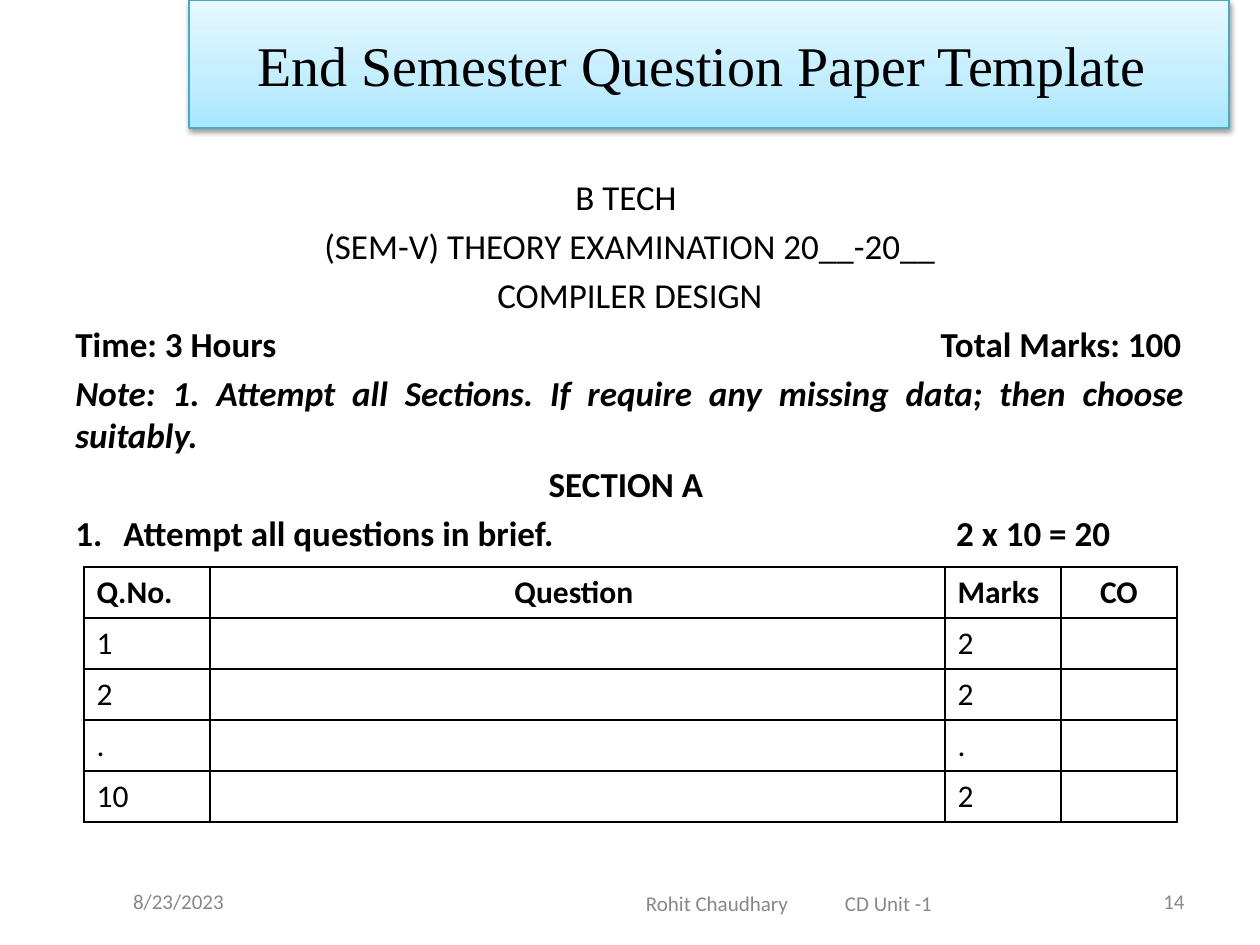
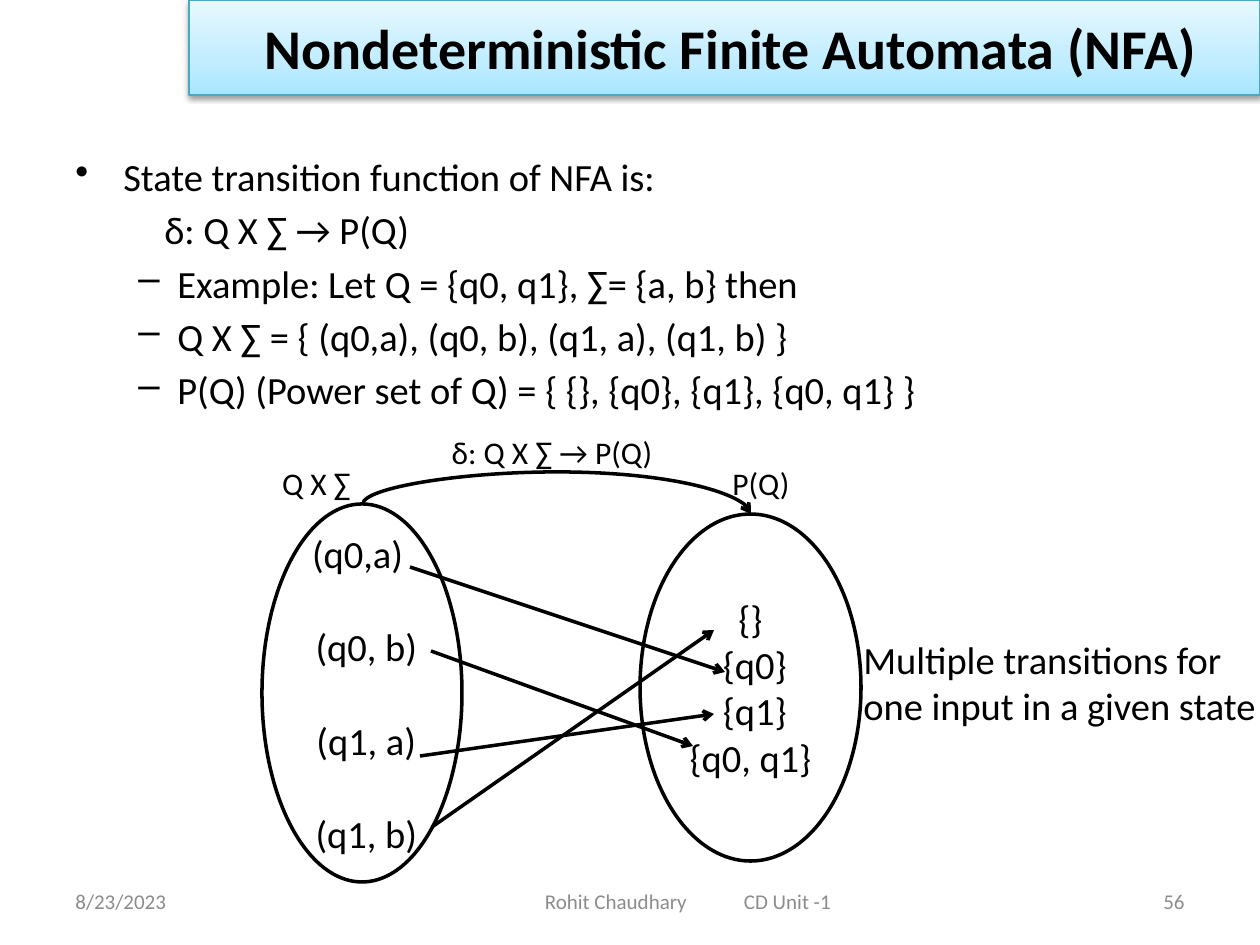
from dataclasses import dataclass

from lxml.etree import SubElement
from pptx import Presentation
from pptx.dml.color import RGBColor
from pptx.enum.shapes import MSO_CONNECTOR as CONN, MSO_SHAPE as SHAPE
from pptx.enum.text import MSO_ANCHOR as ANCHOR, PP_ALIGN as ALIGN
from pptx.oxml.ns import qn
from pptx.util import Pt

EMU_PER_PX = 914400 / 126


@dataclass(frozen=True)
class Theme:
    ink: str = "000000"
    paper: str = "FFFFFF"
    band_line: str = "46AAC5"
    band_stops: tuple = ((0, "A7E6FF"), (35, "C1EDFF"), (100, "E7F8FF"))
    font: str = "Calibri"
    serif: str = "Times New Roman"
    title: int = 32
    body: int = 22
    exam: int = 20
    label: int = 18
    footer: int = 12


T = Theme()
ALIGNS = {"l": ALIGN.LEFT, "c": ALIGN.CENTER, "r": ALIGN.RIGHT, "j": ALIGN.JUSTIFY}

# Each paragraph: text, then the settings that differ from plain left-aligned text.
EXAM_LINES = [
    ("B TECH ", dict(al="c")),
    ("(SEM-V) THEORY EXAMINATION 20__-20__", dict(al="c")),
    ("COMPILER DESIGN", dict(al="c")),
    ("Time: 3 Hours\tTotal Marks: 100", dict(bold=True, tab=(1106, "r"))),
    ("Note: 1. Attempt all Sections. If require any missing data; then choose suitably.",
     dict(al="j", bold=True, italic=True)),
    ("SECTION A ", dict(al="c", bold=True)),
    ("Attempt all questions in brief.\t2 x 10 = 20",
     dict(bold=True, margin=48, indent=-48, bullet="1.", tab=(1035, "r"))),
]
QUESTION_COLS = [("Q.No.", 126, "l"), ("Question ", 735, "c"),
                 ("Marks", 116, "l"), ("CO", 116, "c")]
QUESTION_ROWS = [("1", "", "2", ""), ("2", "", "2", ""),
                 (".", "", ".", ""), ("10", "", "2", "")]

DASH = dict(margin=102, indent=-39, bullet="–")
NFA_LINES = [
    ("State transition function of NFA is:", dict(margin=48, indent=-48, bullet="•")),
    ("δ: Q X ∑ → P(Q)", dict(margin=102, indent=-13)),
    ("Example: Let Q = {q0, q1}, ∑= {a, b} then", DASH),
    ("Q X ∑ = { (q0,a), (q0, b), (q1, a), (q1, b) }", DASH),
    ("P(Q) (Power set of Q) = { {}, {q0}, {q1}, {q0, q1} }", DASH),
]
# Set: box, members, space between members in points
SETS = [
    ((262, 504, 200, 378), ["(q0,a) ", " (q0, b)", " (q1, a)", " (q1, b) "], 27),
    ((640, 514, 221, 347), ["{}", " {q0}", " {q1}", "{q0, q1}"], 0),
]
TRANSITIONS = [
    ((410, 567), (725, 672)),
    ((431, 651), (693, 746)),
    ((420, 756), (714, 714)),
    ((432, 827), (714, 630)),
]
SET_LABELS = [
    ("δ: Q X ∑ → P(Q)", (410, 420, 284, 63)),
    ("Q X ∑ ", (262, 451, 116, 63)),
    ("P(Q)", (703, 451, 116, 63)),
]
REMARK = ["Multiple transitions for", "one input in a given state"]

DATE = "8/23/2023"
AUTHOR_UNIT = "Rohit Chaudhary\tCD Unit -1"


def px(n):
    return round(n * EMU_PER_PX)


def box_px(box):
    return [px(n) for n in box]


def rgb(code):
    return RGBColor.from_string(code)


def add_paragraph(tf, text, size, first, al="l", bold=False, italic=False, font=T.font,
                  color=T.ink, margin=0, indent=0, bullet=None, tab=None, before=0):
    p = tf.paragraphs[0] if first else tf.add_paragraph()
    pPr = p._p.get_or_add_pPr()
    if margin:
        pPr.set("marL", str(px(margin)))
        pPr.set("indent", str(px(indent)))
    if bullet == "1.":
        SubElement(pPr, qn("a:buAutoNum"), type="arabicPeriod")
    elif bullet:
        SubElement(pPr, qn("a:buChar"), char=bullet)
    if tab:
        tabs = SubElement(pPr, qn("a:tabLst"))
        SubElement(tabs, qn("a:tab"), pos=str(px(tab[0])), algn=tab[1])
    p.alignment = ALIGNS[al]
    if before and not first:
        p.space_before = Pt(before)
    if text:
        r = p.add_run()
        r.text = text
        f = r.font
        f.name, f.size, f.bold, f.italic = font, Pt(size), bold, italic
        f.color.rgb = rgb(color)


def fill_text(tf, lines, size, anchor=ANCHOR.MIDDLE, inset=None, **shared):
    """Write (text, settings) pairs; shared settings apply to every line."""
    tf.word_wrap = True
    tf.vertical_anchor = anchor
    if inset is not None:
        tf.margin_left = px(inset)
    for n, (text, settings) in enumerate(lines):
        add_paragraph(tf, text, size, n == 0, **{**shared, **settings})


def add_text(s, box, lines, size, **settings):
    tb = s.shapes.add_textbox(*box_px(box))
    fill_text(tb.text_frame, lines, size, **settings)


def add_title_band(s, box, text, **settings):
    sp = s.shapes.add_shape(SHAPE.RECTANGLE, *box_px(box))
    sp.line.color.rgb = rgb(T.band_line)
    sp.line.width = Pt(0.75)
    sp.shadow.inherit = False
    spPr = sp._element.spPr
    grad = SubElement(spPr, qn("a:gradFill"), rotWithShape="1")
    stops = SubElement(grad, qn("a:gsLst"))
    for pos, color in T.band_stops:
        gs = SubElement(stops, qn("a:gs"), pos=str(pos * 1000))
        SubElement(gs, qn("a:srgbClr"), val=color)
    SubElement(grad, qn("a:lin"), ang="16200000", scaled="0")
    spPr.find(qn("a:prstGeom")).addnext(grad)
    shadow = SubElement(spPr.find(qn("a:effectLst")), qn("a:outerShdw"), blurRad="40000",
                        dist="20000", dir="5400000", rotWithShape="0")
    black = SubElement(shadow, qn("a:srgbClr"), val=T.ink)
    SubElement(black, qn("a:alpha"), val="38000")
    fill_text(sp.text_frame, [(text, {})], T.title, **settings)


def add_footer(s, date_box, date_align, author_box, author_x, number, color):
    """author_x is where the author's name starts; the unit follows at a tab."""
    add_text(s, date_box, [(DATE, {})], T.footer, al=date_align, color=color)
    add_text(s, author_box, [(AUTHOR_UNIT, {})], T.footer, color=color,
             inset=author_x - author_box[0], tab=(199, "l"))
    add_text(s, (903, 876, 294, 50), [(number, {})], T.footer, al="r", color=color)


def add_line(s, start, end, kind=CONN.STRAIGHT):
    c = s.shapes.add_connector(kind, *box_px((*start, *end)))
    c.line.color.rgb = rgb(T.ink)
    c.line.width = Pt(2)
    SubElement(c.line._get_or_add_ln(), qn("a:tailEnd"), type="arrow")
    SubElement(c._element.spPr, qn("a:effectLst"))
    return c


def add_arc(s, start, end, rise):
    """Curved arrow that leaves start upwards by rise and comes down on end."""
    (x1, y1), (x2, y2) = start, end
    mid_x, mid_y = (x1 + x2) / 2, (y1 + y2) / 2
    drop, half = y2 - y1, (x2 - x1) / 2
    c = add_line(s, (mid_x + drop / 2, mid_y - half), (mid_x - drop / 2, mid_y + half),
                 CONN.CURVE)
    spPr = c._element.spPr
    spPr.find(qn("a:xfrm")).set("rot", "16200000")
    guides = spPr.find(qn("a:prstGeom")).find(qn("a:avLst"))
    SubElement(guides, qn("a:gd"), name="adj1", fmla=f"val {round(-rise / drop * 100000)}")


def add_set(s, box, members, gap):
    sp = s.shapes.add_shape(SHAPE.OVAL, *box_px(box))
    sp.shadow.inherit = False
    sp.fill.background()
    sp.line.color.rgb = rgb(T.ink)
    sp.line.width = Pt(2)
    fill_text(sp.text_frame, [(m, {}) for m in members], T.body, al="c", before=gap)


def style_cell(cell, text, al, bold):
    tcPr = cell._tc.get_or_add_tcPr()
    for side in ("lnL", "lnR", "lnT", "lnB"):
        ln = SubElement(tcPr, qn(f"a:{side}"), w=str(Pt(1)))
        solid = SubElement(ln, qn("a:solidFill"))
        SubElement(solid, qn("a:srgbClr"), val=T.ink)
    cell.fill.solid()
    cell.fill.fore_color.rgb = rgb(T.paper)
    add_paragraph(cell.text_frame, text, T.label, True, al=al, bold=bold)


def add_question_table(s, left, top, row_height):
    heads, widths, aligns = zip(*QUESTION_COLS)
    rows = [heads, *QUESTION_ROWS]
    frame = s.shapes.add_table(len(rows), len(heads), *box_px(
        (left, top, sum(widths), row_height * len(rows))))
    table = frame.table
    table.first_row = table.horz_banding = False
    for col, width in zip(table.columns, widths):
        col.width = px(width)
    for i, row in enumerate(rows):
        for j, text in enumerate(row):
            style_cell(table.cell(i, j), text, aligns[j] if i == 0 else "l", i == 0)


def build_exam_slide(s):
    add_title_band(s, (189, 0, 1040, 128), "End Semester Question Paper Template ",
                   al="c", font=T.serif)
    add_text(s, (63, 169, 1134, 655), EXAM_LINES, T.exam, anchor=ANCHOR.TOP, before=4)
    add_question_table(s, 84, 567, 51)
    add_footer(s, (84, 876, 189, 50), "c", (324, 880, 621, 47), 646, "14", "888888")


def build_nfa_slide(s):
    add_footer(s, (63, 876, 294, 50), "l", (305, 876, 766, 50), 545, "56", "8C8C8C")
    add_title_band(s, (189, 0, 1071, 95), "Nondeterministic Finite Automata (NFA)",
                   bold=True, margin=63)
    add_text(s, (63, 147, 1134, 725), NFA_LINES, T.body, anchor=ANCHOR.TOP, before=4)
    for box, members, gap in SETS:
        add_set(s, box, members, gap)
    add_arc(s, (363, 504), (751, 514), 32)
    for start, end in TRANSITIONS:
        add_line(s, start, end)
    for text, box in SET_LABELS:
        add_text(s, box, [(text, {})], T.label, al="c")
    add_text(s, (725, 577, 630, 210), [(line, {}) for line in REMARK], T.body, margin=126)


def main():
    prs = Presentation()
    prs.slide_width, prs.slide_height = px(1260), px(945)
    for build in (build_exam_slide, build_nfa_slide):
        build(prs.slides.add_slide(prs.slide_layouts[6]))
    prs.save("out.pptx")


if __name__ == "__main__":
    main()
